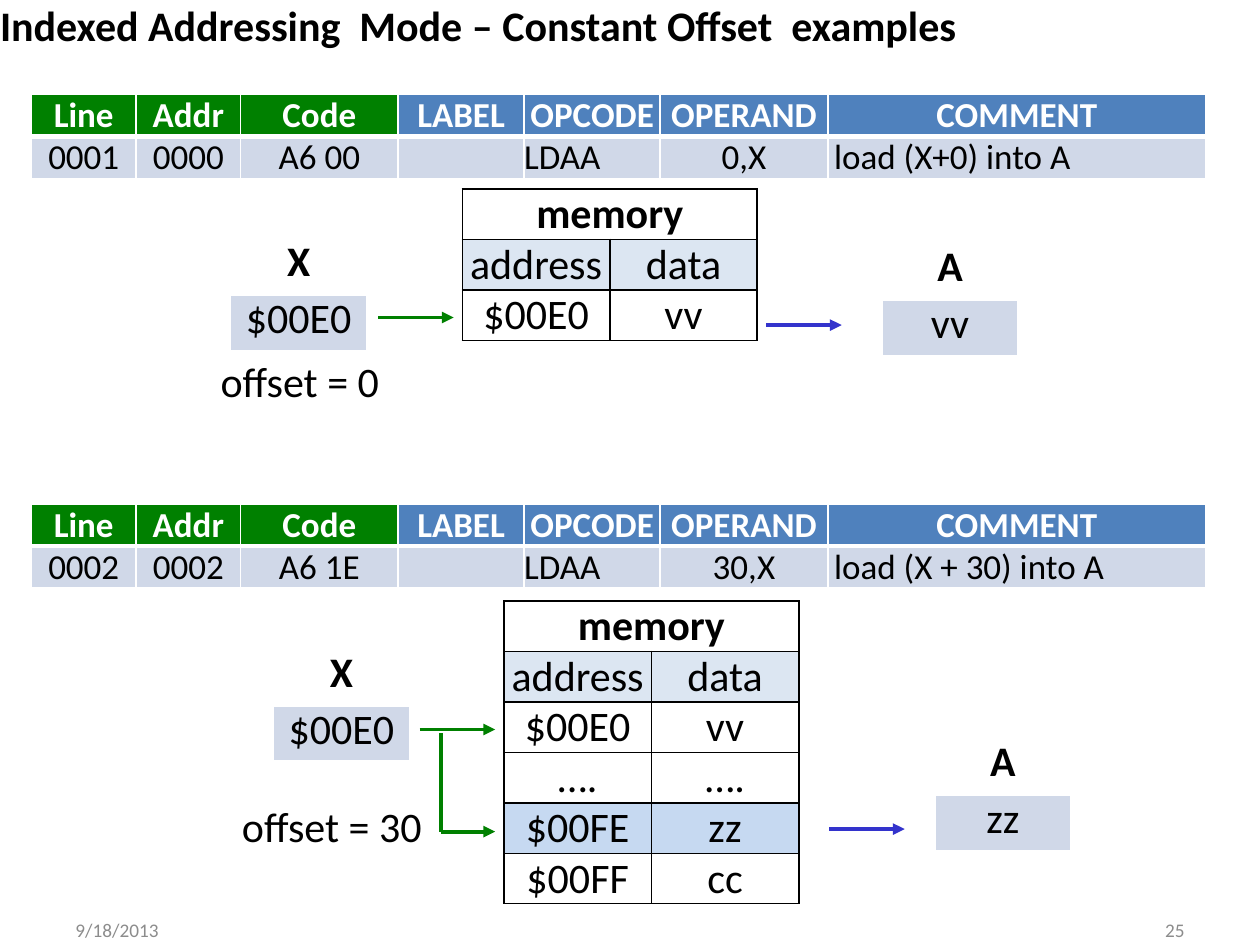
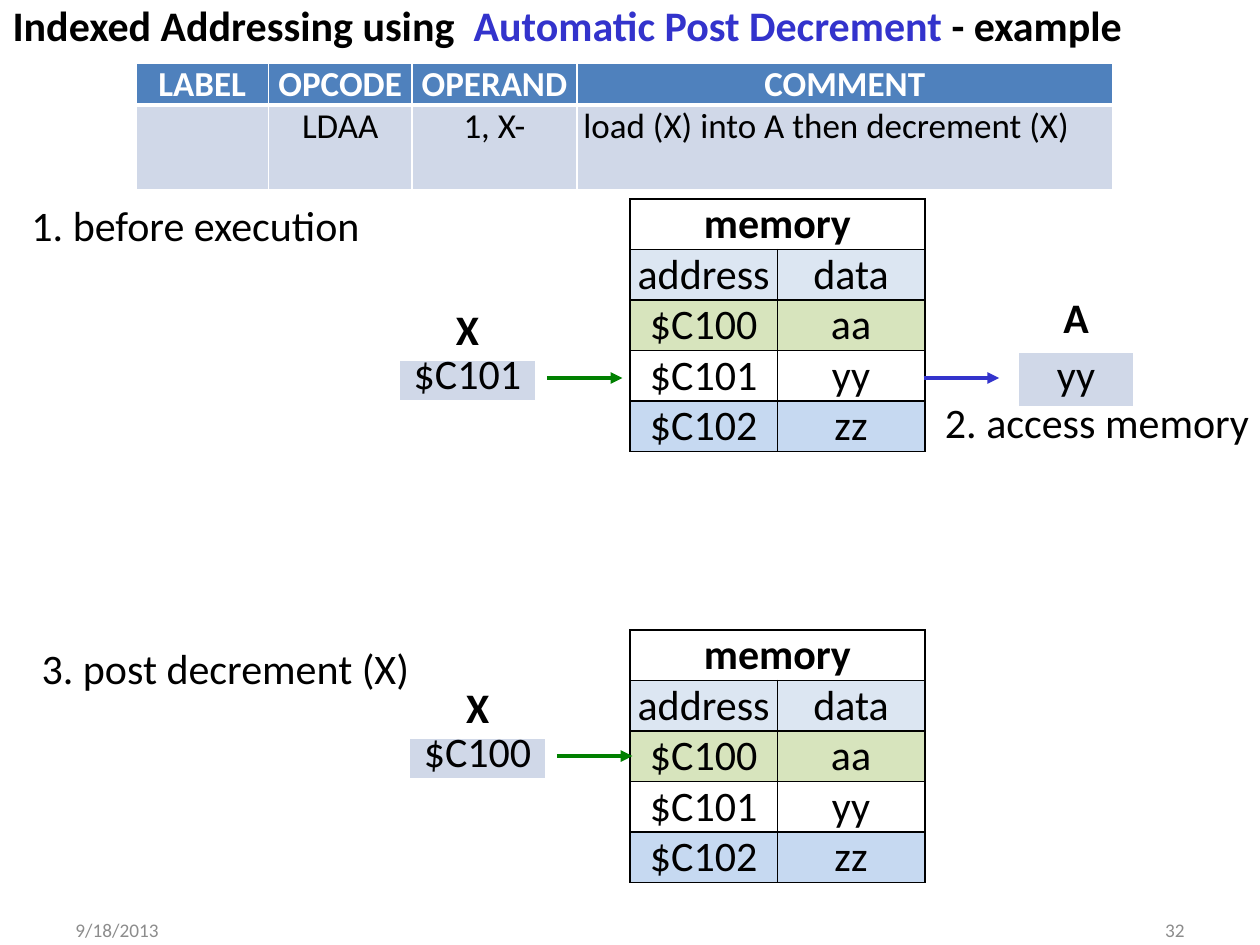
from dataclasses import dataclass

from lxml import etree
from pptx import Presentation
from pptx.dml.color import RGBColor
from pptx.enum import shapes, text
from pptx.oxml import ns
from pptx.util import Inches, Pt

LEFT, MID, RIGHT = text.PP_ALIGN.LEFT, text.PP_ALIGN.CENTER, text.PP_ALIGN.RIGHT


@dataclass(frozen=True)
class Theme:
    font: str = "Calibri"
    body: int = 24
    code: int = 20
    foot: int = 11
    black: str = "000000"
    white: str = "FFFFFF"
    gray: str = "8C8C8C"
    green: str = "008000"
    blue: str = "3333CC"
    head: str = "4F81BD"
    pale: str = "D0D8E8"
    label: str = "DCE6F2"
    sky: str = "C6D9F1"
    lime: str = "D7E4BD"


class Deck:
    def __init__(self, theme):
        self.theme = theme
        self.prs = Presentation()
        self.prs.slide_width, self.prs.slide_height = Inches(10), Inches(7.5)

    def start(self, number):
        """Add a slide with its date and page number."""
        self.slide = self.prs.slides.add_slide(self.prs.slide_layouts[6])
        for x, words, align in ((0.5, "9/18/2013", LEFT), (7.17, number, RIGHT)):
            box = self.slide.shapes.add_textbox(
                Inches(x), Inches(7.29), Inches(2.33), Inches(0.18))
            box.text_frame.word_wrap = True
            box.text_frame.vertical_anchor = text.MSO_ANCHOR.MIDDLE
            para = box.text_frame.paragraphs[0]
            para.alignment = align
            self.run(para, words, self.theme.foot, self.theme.gray)

    def run(self, para, words, size, color=None, bold=False):
        run = para.add_run()
        run.text = words
        font = run.font
        font.name, font.size, font.bold = self.theme.font, Pt(size), bold
        font.color.rgb = RGBColor.from_string(color or self.theme.black)

    def note(self, x, y, width, *parts, bold=False):
        """Place one line of text; each part is (words, color)."""
        box = self.slide.shapes.add_textbox(
            Inches(x), Inches(y), Inches(width), Inches(0.4))
        frame = box.text_frame
        frame.word_wrap = False
        frame.auto_size = text.MSO_AUTO_SIZE.SHAPE_TO_FIT_TEXT
        frame.margin_left = frame.margin_right = 0
        frame.margin_top = frame.margin_bottom = 0
        for words, color in parts:
            self.run(frame.paragraphs[0], words, self.theme.body, color, bold)

    def line(self, start, end, color, arrow=True):
        link = self.slide.shapes.add_connector(
            shapes.MSO_CONNECTOR.STRAIGHT, *map(Inches, start + end))
        link.line.color.rgb = RGBColor.from_string(color)
        link.line.width = Pt(2.25)
        if arrow:
            etree.SubElement(link.line._get_or_add_ln(), ns.qn("a:tailEnd"),
                             type="triangle")
        etree.SubElement(link._element.spPr, ns.qn("a:effectLst"))

    def arrow(self, x, y, color):
        self.line((x, y), (x + 0.6, y), color)

    def grid(self, x, y, cols, rows):
        """Add a bare table with the given column widths and row heights."""
        frame = self.slide.shapes.add_table(
            len(rows), len(cols), Inches(x), Inches(y),
            Inches(sum(cols)), Inches(sum(rows)))
        table = frame.table
        table.first_row = table.horz_banding = False
        for col, width in zip(table.columns, cols):
            col.width = Inches(width)
        for row, height in zip(table.rows, rows):
            row.height = Inches(height)
        return table

    def cell(self, cell, words, fill=None, size=None, color=None, bold=False,
             align=MID, edge=None, base=1, left=0, foot=0, pitch=None):
        """Style a cell; base is the width of its bottom border."""
        cell.margin_left, cell.margin_bottom = Inches(left), Inches(foot)
        cell.margin_right = cell.margin_top = 0
        props = cell._tc.get_or_add_tcPr()
        for side in "LRTB":
            width = Pt(base if side == "B" else 1)
            ln = etree.SubElement(props, ns.qn("a:ln" + side), w=str(width))
            solid = etree.SubElement(ln, ns.qn("a:solidFill"))
            etree.SubElement(solid, ns.qn("a:srgbClr"),
                             val=edge or self.theme.white)
        if fill:
            cell.fill.solid()
            cell.fill.fore_color.rgb = RGBColor.from_string(fill)
        else:
            cell.fill.background()
        para = cell.text_frame.paragraphs[0]
        para.alignment = align
        if pitch:
            para.line_spacing = Pt(pitch)
        if words:
            self.run(para, words, size or self.theme.body, color, bold)

    def listing(self, x, y, heads, values, cols, height=0.33, op=MID):
        """Add an assembly line; op aligns the opcode value."""
        t = self.theme
        table = self.grid(x, y, cols, [0.33, height])
        for i, (head, value) in enumerate(zip(heads, values)):
            fill = t.green if head in ("Line", "Addr", "Code") else t.head
            self.cell(table.cell(0, i), head, fill, t.code, t.white, True, base=3)
            last = head == "COMMENT"
            align = LEFT if last else op if head == "OPCODE" else MID
            self.cell(table.cell(1, i), value, t.pale, t.code, align=align,
                      left=0.05 if last else 0)

    def memory(self, x, y, *rows):
        """Add a memory map; each row is (address, data, fill)."""
        t = self.theme
        rows = [("memory", "", None), ("address", "data", t.label), *rows]
        table = self.grid(x, y, [1.17] * 2, [0.4] * len(rows))
        table.cell(0, 0).merge(table.cell(0, 1))
        for i, (place, data, fill) in enumerate(rows):
            for j, words in enumerate((place, data)):
                self.cell(table.cell(i, j), words, fill, bold=i == 0, edge=t.black)

    def reg(self, x, y, name, value, width=1.08, tight=False):
        """Add a register: its name above its value."""
        rows = [0.35, 0.32] if tight else [0.45, 0.45]
        gaps = dict(pitch=24) if tight else dict(foot=0.05)
        table = self.grid(x, y, [width], rows)
        self.cell(table.cell(0, 0), name, bold=True, base=3, **gaps)
        self.cell(table.cell(1, 0), value, self.theme.pale, **gaps)


HEADS = ["Line", "Addr", "Code", "LABEL", "OPCODE", "OPERAND", "COMMENT"]


def offset(deck):
    t = deck.theme
    deck.start("25")
    deck.note(0, 0, 7.85, ("Indexed Addressing  Mode – Constant Offset  examples",
                           t.black), bold=True)
    cols = [0.83, 0.83, 1.25, 1, 1.08, 1.33, 3]
    for y, values in (
            (0.75, ["0001", "0000", "A6 00", "", "LDAA", "0,X", "load (X+0) into A"]),
            (4, ["0002", "0002", "A6 1E", "", "LDAA", "30,X", "load (X + 30) into A"])):
        deck.listing(0.25, y, HEADS, values, cols, op=LEFT)

    deck.reg(1.83, 1.88, "X", "$00E0")
    deck.arrow(3, 2.52, t.green)
    deck.note(1.75, 2.82, 1.28, ("offset = 0", t.black))
    deck.memory(3.67, 1.5, ("$00E0", "vv", None))
    deck.arrow(6.08, 2.58, t.blue)
    deck.reg(7, 1.92, "A", "vv")

    deck.reg(2.17, 5.14, "X", "$00E0")
    deck.arrow(3.33, 5.79, t.green)
    deck.note(1.92, 6.35, 1.45, ("offset = 30", t.black))
    deck.line((3.5, 6.6), (3.93, 6.6), t.green)
    deck.line((3.5, 6.6), (3.5, 5.82), t.green, arrow=False)
    deck.memory(4, 4.77, ("$00E0", "vv", None), ("….", "….", None),
                ("$00FE", "zz", t.sky), ("$00FF", "cc", None))
    deck.arrow(6.58, 6.58, t.blue)
    deck.reg(7.42, 5.85, "A", "zz")


def decrement(deck):
    t = deck.theme
    deck.start("32")
    deck.note(0.1, 0, 9.16, ("Indexed Addressing using ", t.black),
              (" Automatic Post Decrement", t.blue), (" - example", t.black),
              bold=True)
    deck.listing(1.08, 0.5, HEADS[3:],
                 ["", "LDAA", "1, X-", "load (X) into A then decrement (X)"],
                 [1.05, 1.14, 1.31, 4.25], height=0.67)
    for y in (1.58, 5):
        deck.memory(5, y, ("$C100", "aa", t.lime), ("$C101", "yy", None),
                    ("$C102", "zz", t.sky))
    for x, y, value in ((3.17, 2.5, "$C101"), (3.25, 5.5, "$C100")):
        deck.reg(x, y, "X", value, tight=True)
        deck.arrow(x + 1.17, y + 0.5, t.green)
    deck.arrow(7.33, 3, t.blue)
    deck.reg(8.08, 2.33, "A", "yy", width=0.92)
    for x, y, width, words in ((0.25, 1.58, 2.63, "1. before execution"),
                               (7.5, 3.15, 2.43, "2. access memory"),
                               (0.33, 5.1, 3.03, "3. post decrement (X)")):
        deck.note(x, y, width, (words, t.black))


def main():
    deck = Deck(Theme())
    offset(deck)
    decrement(deck)
    deck.prs.save("out.pptx")


if __name__ == "__main__":
    main()
